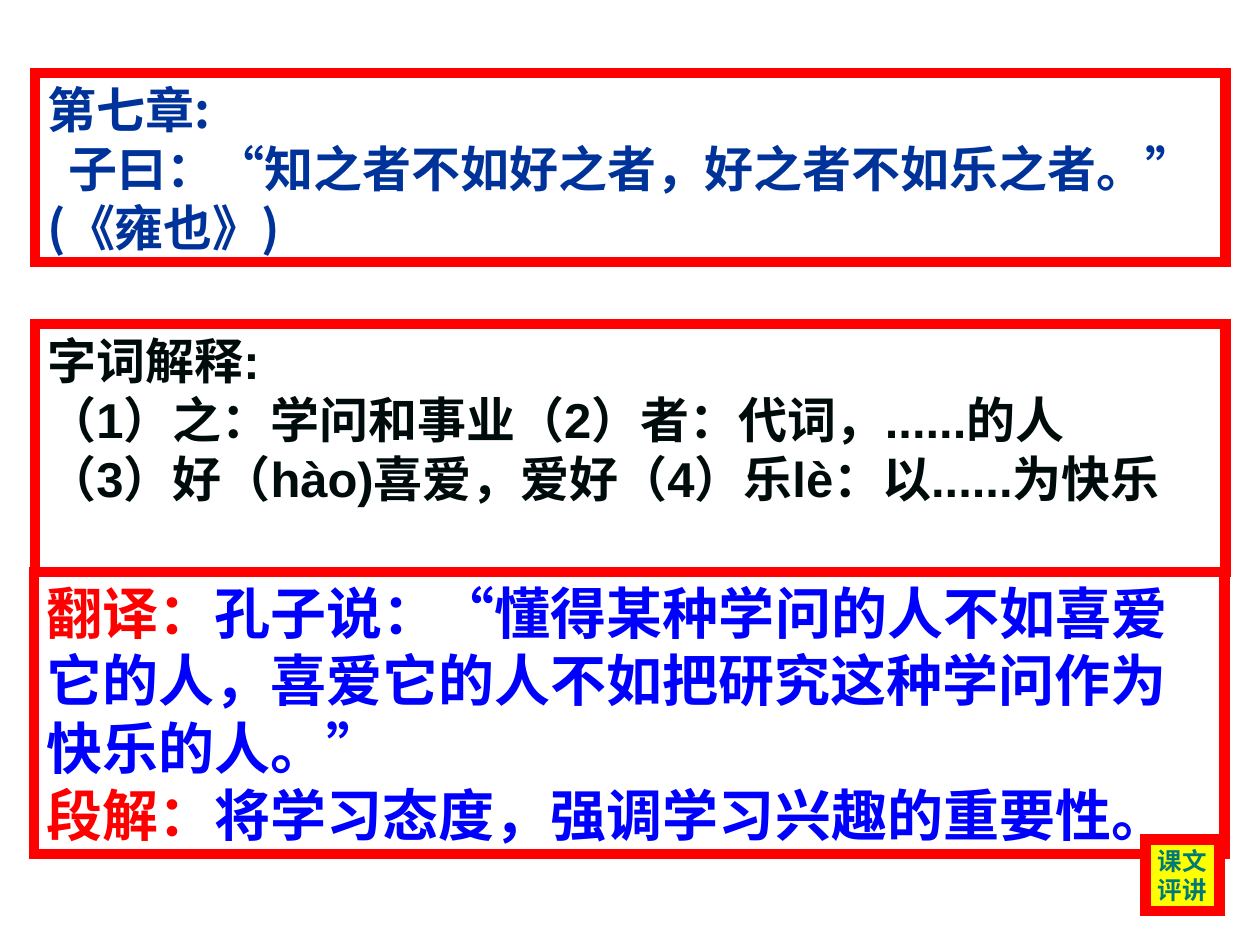
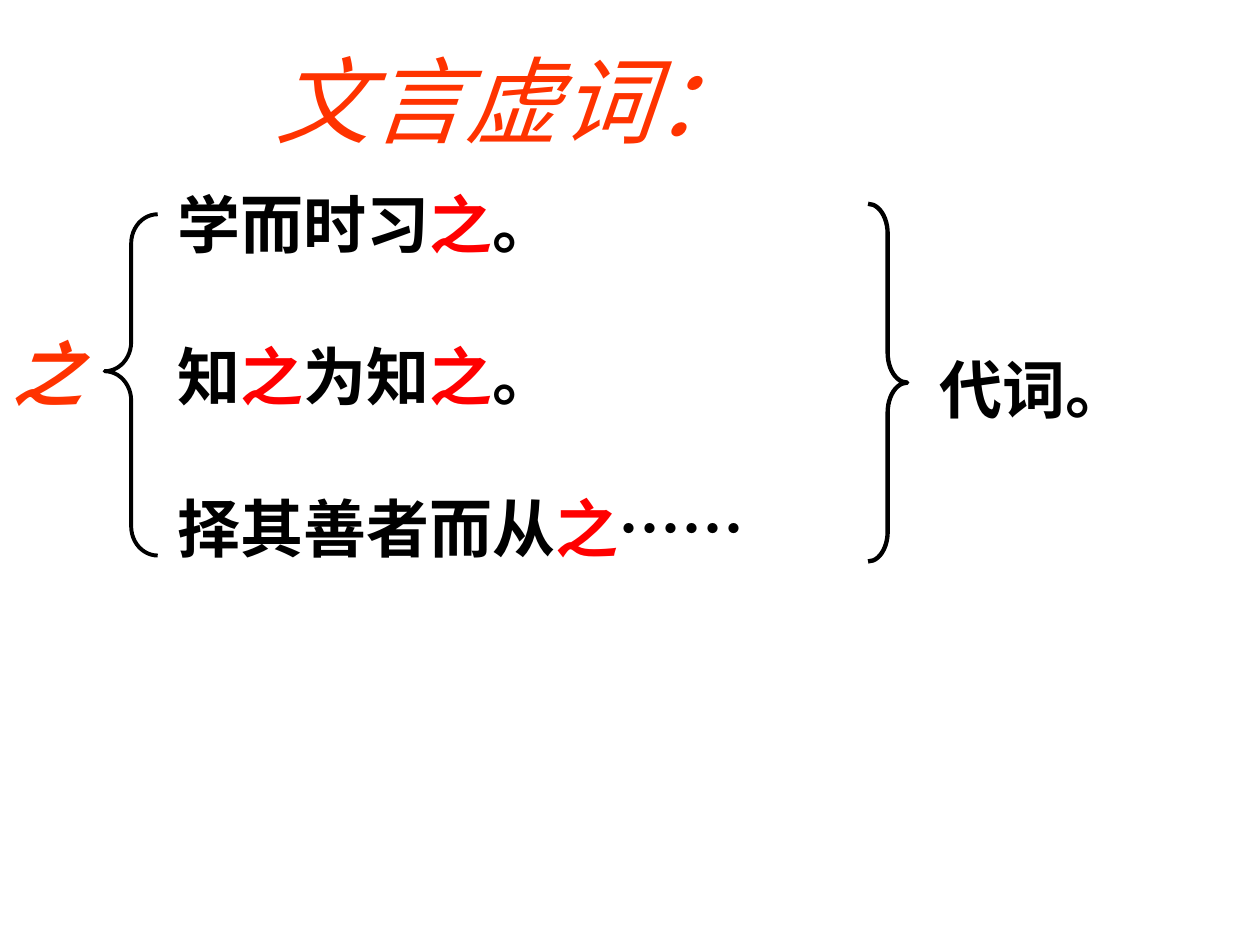
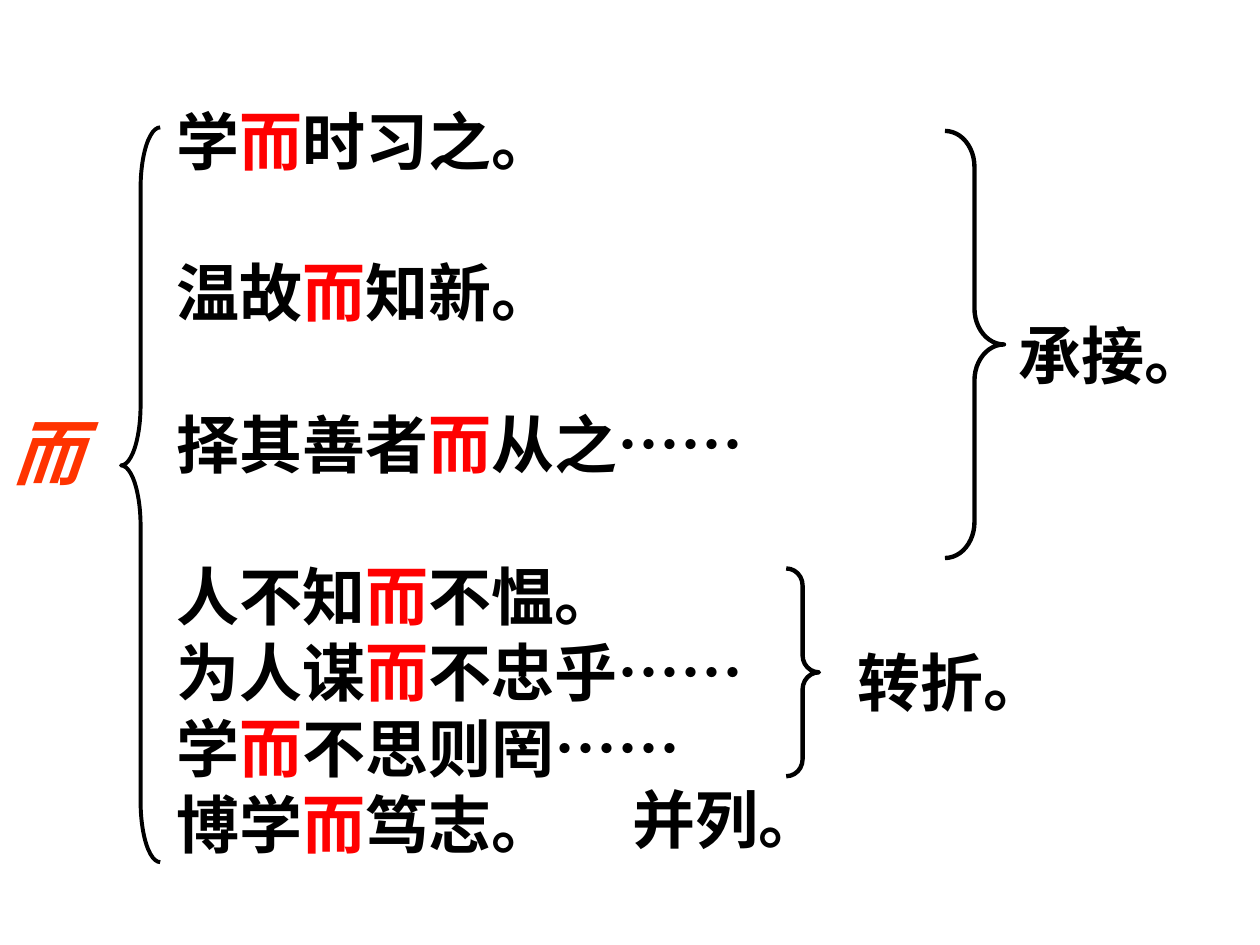
from dataclasses import dataclass

from lxml import etree
from pptx import Presentation
from pptx.dml.color import RGBColor
from pptx.enum.shapes import MSO_SHAPE
from pptx.enum.text import MSO_ANCHOR, PP_ALIGN
from pptx.oxml.ns import qn
from pptx.slide import Slide
from pptx.text.text import TextFrame
from pptx.util import Cm, Pt

RECT = MSO_SHAPE.RECTANGLE
OPEN = MSO_SHAPE.LEFT_BRACE
CLOSE = MSO_SHAPE.RIGHT_BRACE
TOP = MSO_ANCHOR.TOP
LEFT = PP_ALIGN.LEFT


@dataclass(frozen=True)
class Theme:
    red: str = "FF0000"
    orange: str = "FF3300"
    blue: str = "0000FF"
    navy: str = "003399"
    ink: str = "000C0C"
    black: str = "000000"
    teal: str = "007A77"
    yellow: str = "FFFF00"
    asian: str = "Noto Sans CJK SC"
    sans: str = "Arial"
    serif: str = "Times New Roman"
    title: float = 54
    head: float = 40
    body: float = 36
    large: float = 32
    quote: float = 28
    badge: float = 14
    frame: float = 6
    pitch: float = 1.205


THEME = Theme()


@dataclass(frozen=True)
class Box:
    left: float
    top: float
    width: float
    height: float

    def place(self) -> tuple[Cm, Cm, Cm, Cm]:
        return Cm(self.left), Cm(self.top), Cm(self.width), Cm(self.height)


@dataclass(frozen=True)
class Style:
    size: float
    color: str
    face: str = THEME.asian
    bold: bool = True
    slant: bool = False


@dataclass(frozen=True)
class Line:
    text: str
    mark: str = ""
    indent: float = 0
    gap: bool = False


@dataclass(frozen=True)
class Card:
    box: Box
    style: Style
    lines: list[Line]
    fill: str = ""
    wrap: bool = True


@dataclass(frozen=True)
class Brace:
    kind: MSO_SHAPE
    box: Box
    curve: float
    tip: float = 0.5
    weight: float = 2.5


@dataclass(frozen=True)
class Note:
    text: str
    left: float
    top: float
    indent: float = 0
    face: str = THEME.asian


TITLE = Style(THEME.title, THEME.orange, THEME.serif, False, True)
HEAD = Style(THEME.head, THEME.orange, THEME.serif, True, True)
BODY = Style(THEME.body, THEME.black, THEME.serif)
SPACE = 0.58

CARDS = [
    Card(Box(0.69, 11.53, 24, 5.69), Style(THEME.large, THEME.blue), [
        Line("翻译：孔子说：“懂得某种学问的人不如喜爱它的人，喜爱它的人不如把研究这种学问作为快乐的人。”", "翻译："),
        Line("段解：将学习态度，强调学习兴趣的重要性。", "段解："),
    ]),
    Card(Box(0.71, 1.47, 24, 3.81), Style(THEME.quote, THEME.navy), [
        Line("第七章:"),
        Line("子曰：“知之者不如好之者，好之者不如乐之者。” (《雍也》)", indent=0.43),
    ]),
    Card(Box(0.71, 6.53, 24, 5), Style(THEME.quote, THEME.ink, THEME.sans), [
        Line("字词解释:"),
        Line("（1）之：学问和事业（2）者：代词，......的人"),
        Line("（3）好（hào)喜爱，爱好（4）乐lè：以......为快乐"),
    ]),
    Card(Box(23.09, 16.92, 1.5, 1.45), Style(THEME.badge, THEME.teal, THEME.sans),
         [Line("课文"), Line("评讲")], THEME.yellow, False),
]

ZHI = [
    Line("学而时习之。", "之", SPACE),
    Line("知之为知之。", "之", SPACE, True),
    Line("择其善者而从之……", "之", SPACE, True),
]
ZHI_BRACES = [
    Brace(OPEN, Box(2.11, 4.32, 1.07, 6.88), 0.55, 0.46, 2.25),
    Brace(CLOSE, Box(17.5, 4.11, 0.79, 7.21), 0.76),
]
ZHI_NOTES = [Note("代词。", 18.69, 6.93, face=THEME.sans)]

ER = [
    Line("学而时习之。", "而"),
    Line("温故而知新。", "而", gap=True),
    Line("择其善者而从之……", "而", gap=True),
    Line("人不知而不愠。", "而", gap=True),
    Line("为人谋而不忠乎……", "而"),
    Line("学而不思则罔……", "而"),
    Line("博学而笃志。", "而"),
]
ER_BRACES = [
    Brace(OPEN, Box(2.44, 2.57, 0.79, 14.81), 1.55, 0.46, 2.25),
    Brace(CLOSE, Box(19.05, 2.64, 1.19, 8.61), 0.61),
    Brace(CLOSE, Box(15.85, 11.46, 0.66, 4.19), 0.52),
]
ER_NOTES = [
    Note("承接。", 19.71, 6.25, SPACE),
    Note("转折。", 16.46, 12.85, SPACE),
    Note("并列。", 11.66, 15.6, 0.85),
]


def paint(code: str) -> RGBColor:
    return RGBColor.from_string(code)


def write(frame: TextFrame, lines: list[Line], style: Style, wrap: bool = True) -> None:
    frame.word_wrap = wrap
    frame.vertical_anchor = TOP
    for index, line in enumerate(lines):
        para = frame.add_paragraph() if index else frame.paragraphs[0]
        para.alignment = LEFT
        para.line_spacing = Pt(style.size * THEME.pitch)
        if line.gap:
            para.space_before = Pt(style.size * THEME.pitch)
        props = para._p.get_or_add_pPr()
        props.set("marL", "0")
        props.set("indent", str(int(Cm(line.indent))))
        font = para.font
        font.name = style.face
        font.size = Pt(style.size)
        font.bold = style.bold
        font.italic = style.slant
        font.color.rgb = paint(style.color)
        asian = etree.SubElement(props.find(qn("a:defRPr")), qn("a:ea"))
        asian.set("typeface", THEME.asian)
        parts = line.text.split(line.mark) if line.mark else [line.text]
        for turn, part in enumerate(parts):
            if turn:
                run = para.add_run()
                run.text = line.mark
                run.font.color.rgb = paint(THEME.red)
            if part:
                para.add_run().text = part


def add_text(slide: Slide, box: Box, lines: list[Line], style: Style) -> None:
    write(slide.shapes.add_textbox(*box.place()).text_frame, lines, style)


def add_card(slide: Slide, card: Card) -> None:
    shape = slide.shapes.add_shape(RECT, *card.box.place())
    shape.shadow.inherit = False
    if card.fill:
        shape.fill.solid()
        shape.fill.fore_color.rgb = paint(card.fill)
    else:
        shape.fill.background()
    shape.line.color.rgb = paint(THEME.red)
    shape.line.width = Pt(THEME.frame)
    edge = shape._element.spPr.find(qn("a:ln"))
    etree.SubElement(edge, qn("a:miter")).set("lim", "800000")
    write(shape.text_frame, card.lines, card.style, card.wrap)


def add_brace(slide: Slide, brace: Brace) -> None:
    shape = slide.shapes.add_shape(brace.kind, *brace.box.place())
    shape.shadow.inherit = False
    shape.fill.background()
    shape.line.color.rgb = paint(THEME.black)
    shape.line.width = Pt(brace.weight)
    shape.adjustments[0] = brace.curve
    shape.adjustments[1] = brace.tip


def add_note(slide: Slide, note: Note) -> None:
    style = Style(THEME.body, THEME.black, note.face)
    box = Box(note.left, note.top, 7.39, 1.78)
    add_text(slide, box, [Line(note.text, indent=note.indent)], style)


def add_chart(slide: Slide, word: str, top: float, box: Box, lines: list[Line],
              braces: list[Brace], notes: list[Note]) -> None:
    add_text(slide, box, lines, BODY)
    add_text(slide, Box(0, top, 2.34, 1.96), [Line(word)], HEAD)
    for brace in braces:
        add_brace(slide, brace)
    for note in notes:
        add_note(slide, note)


def main() -> None:
    deck = Presentation()
    deck.slide_width = Cm(25.4)
    deck.slide_height = Cm(19.05)
    first, second, third = (deck.slides.add_slide(deck.slide_layouts[6]) for _ in range(3))
    for card in CARDS:
        add_card(first, card)
    add_chart(second, "之", 6.53, Box(2.74, 3.61, 17.55, 9.4), ZHI, ZHI_BRACES, ZHI_NOTES)
    add_text(second, Box(5.31, 0.71, 12.19, 2.54), [Line("文言虚词：")], TITLE)
    add_chart(third, "而", 8.13, Box(3.3, 1.93, 17.55, 15.49), ER, ER_BRACES, ER_NOTES)
    deck.save("out.pptx")


if __name__ == "__main__":
    main()
